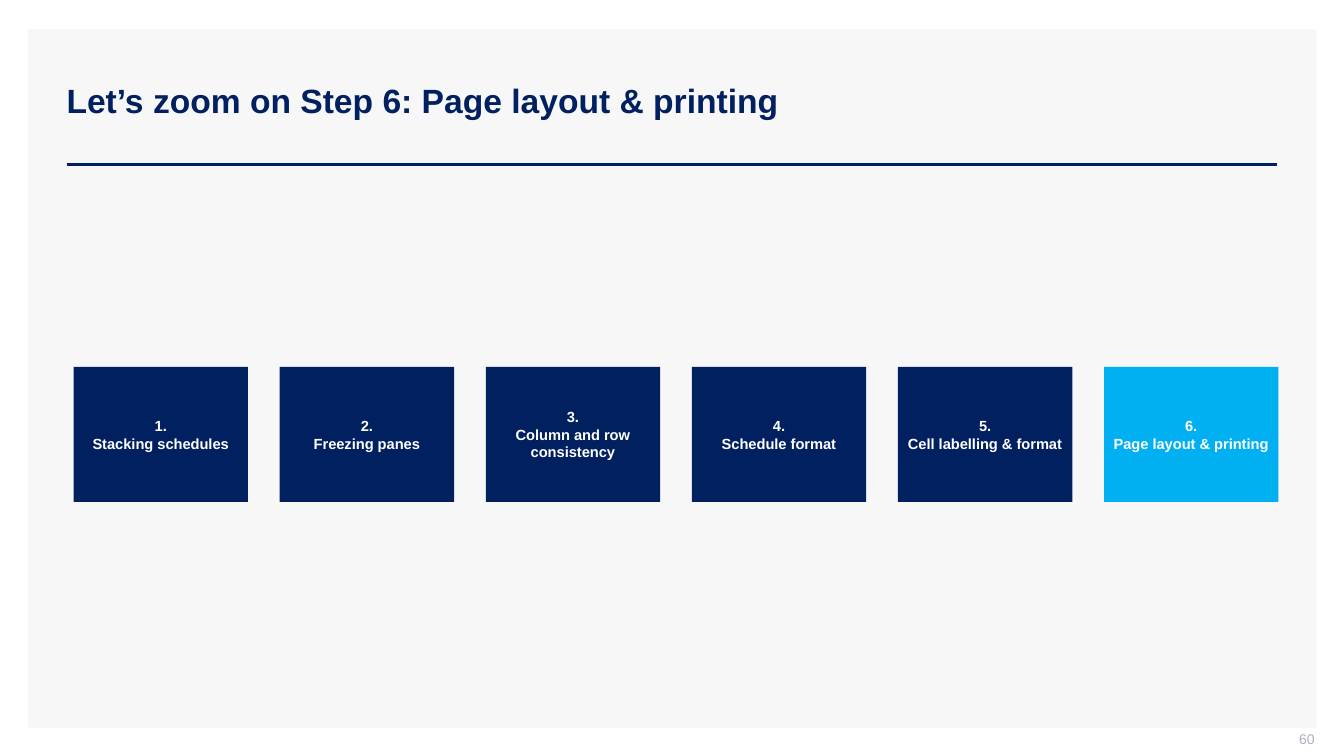
from pptx import Presentation
from pptx.dml.color import RGBColor
from pptx.enum import shapes, text
from pptx.oxml.ns import qn
from pptx.util import Inches, Pt

NAVY, SKY, WHITE, PANEL, GREY = "002060", "00B0F0", "FFFFFF", "F7F7F7", "ADAFBB"
STEPS = [
    "Stacking schedules",
    "Freezing panes",
    "Column and row consistency",
    "Schedule format",
    "Cell labelling & format",
    "Page layout & printing",
]
CURRENT_STEP = 6


def color(hex_code):
    return RGBColor.from_string(hex_code)


def write(frame, lines, size, hex_code, align, bold=False, insets=(0.1, 0.05, 0.1, 0.05)):
    """Fill a text frame, one paragraph a line; insets are left, top, right, bottom."""
    frame.word_wrap = True
    frame.auto_size = text.MSO_AUTO_SIZE.NONE
    frame.vertical_anchor = text.MSO_ANCHOR.MIDDLE
    (frame.margin_left, frame.margin_top,
     frame.margin_right, frame.margin_bottom) = map(Inches, insets)
    frame.text = "\n".join(lines)
    for paragraph in frame.paragraphs:
        paragraph.alignment = align
        font = paragraph.font
        font.name, font.size, font.bold = "Arial", Pt(size), bold
        font.color.rgb = color(hex_code)


def add_box(slide, left, top, width, height, fill):
    box = slide.shapes.add_shape(shapes.MSO_SHAPE.RECTANGLE, Inches(left), Inches(top),
                                 Inches(width), Inches(height))
    box.shadow.inherit = False
    box.fill.solid()
    box.fill.fore_color.rgb = color(fill)
    box.line.fill.background()
    return box


def add_backdrop(slide):
    """Grey panel behind the title."""
    panel = add_box(slide, 0.28, 0.29, 12.78, 6.93, PANEL)
    slide.shapes._spTree.insert(2, panel._element)


def add_rule(slide):
    rule = slide.shapes.add_connector(shapes.MSO_CONNECTOR.STRAIGHT, Inches(0.66),
                                      Inches(1.63), Inches(12.67), Inches(1.63))
    rule.line.color.rgb = color(NAVY)
    rule.line.width = Pt(2)
    properties = rule._element.spPr
    properties.append(properties.makeelement(qn("a:effectLst"), {}))


def set_title(slide, wording):
    title = slide.shapes.title
    title.left, title.top = Inches(0.56), Inches(0.4)
    title.width, title.height = Inches(12.11), Inches(1.19)
    write(title.text_frame, [wording], 24, NAVY, text.PP_ALIGN.LEFT, bold=True)


def add_page_number(slide, number):
    page = slide.shapes.add_textbox(Inches(10.04), Inches(7.25), Inches(3), Inches(0.21))
    write(page.text_frame, [number], 10, GREY, text.PP_ALIGN.RIGHT, insets=(0.1, 0, 0, 0.05))


def add_steps(slide):
    first_left, last_left = 0.73, 10.95
    pitch = (last_left - first_left) / (len(STEPS) - 1)
    for number, name in enumerate(STEPS, start=1):
        fill = SKY if number == CURRENT_STEP else NAVY
        step = add_box(slide, first_left + (number - 1) * pitch, 3.64, 1.73, 1.34, fill)
        write(step.text_frame, [f"{number}.", name], 10.5, WHITE, text.PP_ALIGN.CENTER,
              bold=True, insets=(0.02,) * 4)


def main():
    deck = Presentation()
    deck.slide_width, deck.slide_height = Inches(13.33), Inches(7.5)
    slide = deck.slides.add_slide(deck.slide_layouts.get_by_name("Title Only"))
    add_backdrop(slide)
    add_rule(slide)
    set_title(slide, "Let’s zoom on Step 6: Page layout & printing")
    add_page_number(slide, "60")
    add_steps(slide)
    deck.save("out.pptx")


if __name__ == "__main__":
    main()
